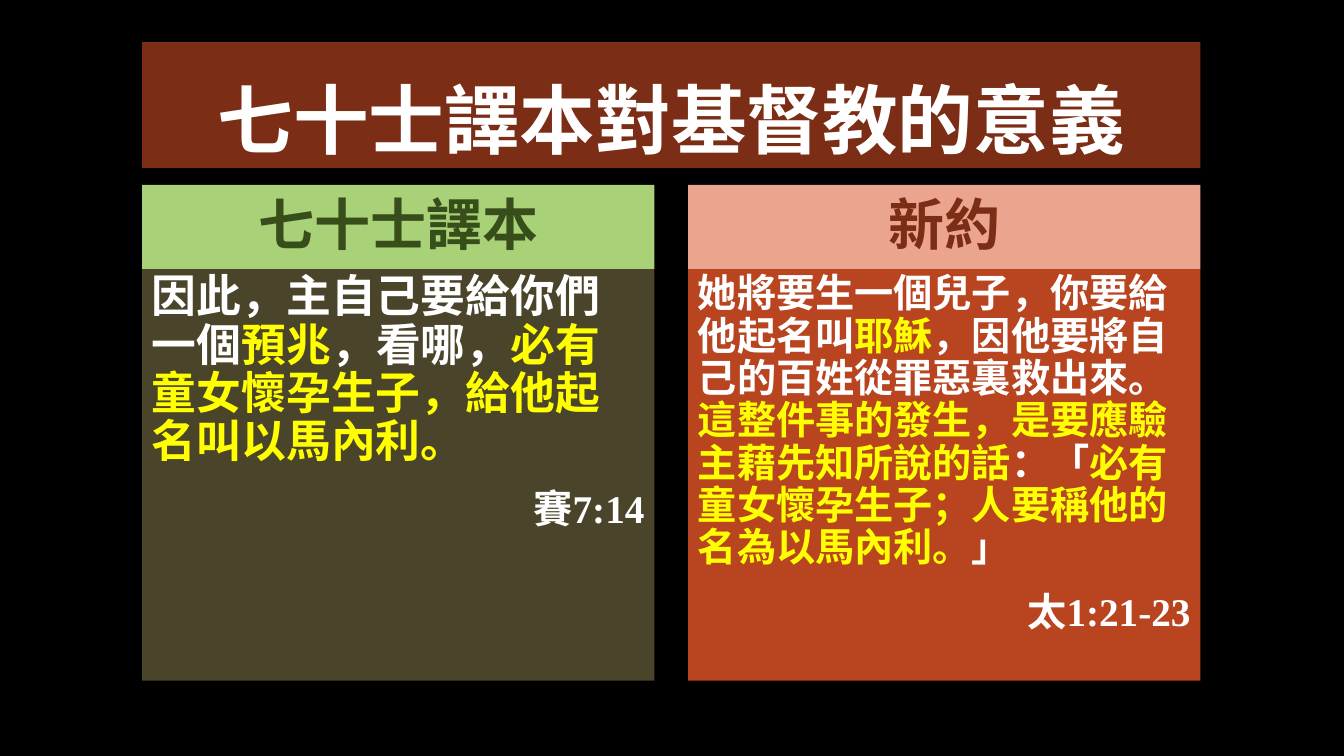
from dataclasses import dataclass

from lxml.etree import SubElement
from pptx import Presentation
from pptx.dml.color import RGBColor
from pptx.enum.shapes import MSO_SHAPE
from pptx.enum.text import MSO_ANCHOR, PP_ALIGN
from pptx.oxml.ns import qn
from pptx.shapes.autoshape import Shape
from pptx.slide import Slide
from pptx.text.text import TextFrame
from pptx.util import Cm, Pt

COLORS = {
    "black": "000000", "white": "FFFFFF", "yellow": "FFFF00",
    "brick": "7B2D15", "lime": "A9D278", "forest": "374E1B",
    "olive": "4A452A", "salmon": "EBA48E", "rust": "B84420",
}
LEFT, WIDTH, GAP = 3.58, 26.67, 0.85
COLUMN_WIDTH = (WIDTH - GAP) / 2
HEAD_TOP, HEAD_HEIGHT, BODY_HEIGHT = 4.66, 2.12, 10.37


@dataclass
class Column:
    heading: str
    head_fill: str
    head_color: str
    body_fill: str
    size: int
    verse: list[tuple[str, str]]
    reference: str


COLUMNS = [
    Column("七十士譯本", "lime", "forest", "olive", 32, [
        ("因此，主自己要給你們一個", "white"),
        ("預兆", "yellow"),
        ("，看哪，", "white"),
        ("必有童女懷孕生子，給他起名叫以馬內利。", "yellow"),
    ], "賽7:14"),
    Column("新約", "salmon", "brick", "rust", 28, [
        ("她將要生一個兒子，你要給他起名叫", "white"),
        ("耶穌", "yellow"),
        ("，因他要將自己的百姓從罪惡裏救出來。", "white"),
        ("這整件事的發生，是要應驗主藉先知所說的話", "yellow"),
        ("：「", "white"),
        ("必有童女懷孕生子；人要稱他的名為以馬內利。", "yellow"),
        ("」", "white"),
    ], "太1:21-23"),
]


def rgb(name: str) -> RGBColor:
    return RGBColor.from_string(COLORS[name])


def add_panel(slide: Slide, x: float, y: float, w: float, h: float,
              fill: str, anchor: MSO_ANCHOR) -> Shape:
    sp = slide.shapes.add_shape(MSO_SHAPE.RECTANGLE, Cm(x), Cm(y), Cm(w), Cm(h))
    sp.shadow.inherit = False
    sp.fill.solid()
    sp.fill.fore_color.rgb = rgb(fill)
    sp.line.fill.background()
    sp.text_frame.word_wrap = True
    sp.text_frame.vertical_anchor = anchor
    return sp


def add_text(tf: TextFrame, runs: list[tuple[str, str]], *, size: int,
             font: str, east_asian: str, align: PP_ALIGN = PP_ALIGN.LEFT,
             spacing: float = 0.9, before: int = 0) -> None:
    p = tf.paragraphs[0] if not tf.text else tf.add_paragraph()
    p.alignment = align
    p.line_spacing = spacing
    p.space_before = Pt(before)
    for text, color in runs:
        r = p.add_run()
        r.text = text
        r.font.size = Pt(size)
        r.font.bold = True
        r.font.name = font
        r.font.color.rgb = rgb(color)
        SubElement(r.font._element, qn("a:ea"), typeface=east_asian)


def add_column(slide: Slide, x: float, column: Column) -> None:
    head = add_panel(slide, x, HEAD_TOP, COLUMN_WIDTH, HEAD_HEIGHT,
                     column.head_fill, MSO_ANCHOR.MIDDLE)
    add_text(head.text_frame, [(column.heading, column.head_color)], size=40,
             font="Noto Sans CJK TC", east_asian="Noto Sans CJK TC",
             align=PP_ALIGN.CENTER)
    body = add_panel(slide, x, HEAD_TOP + HEAD_HEIGHT, COLUMN_WIDTH, BODY_HEIGHT,
                     column.body_fill, MSO_ANCHOR.TOP)
    add_text(body.text_frame, column.verse, size=column.size,
             font="Times New Roman", east_asian="Roboto")
    add_text(body.text_frame, [(column.reference, "white")], size=28,
             font="Times New Roman", east_asian="Roboto",
             align=PP_ALIGN.RIGHT, before=16)


def main() -> None:
    prs = Presentation()
    prs.slide_width, prs.slide_height = Cm(33.87), Cm(19.05)
    slide = prs.slides.add_slide(prs.slide_layouts[6])
    slide.background.fill.solid()
    slide.background.fill.fore_color.rgb = rgb("black")

    title = add_panel(slide, LEFT, 1.06, WIDTH, 3.18, "brick", MSO_ANCHOR.BOTTOM)
    add_text(title.text_frame, [("七十士譯本對基督教的意義", "white")], size=54,
             font="Roboto", east_asian="Roboto", align=PP_ALIGN.CENTER, spacing=0.8)
    for i, column in enumerate(COLUMNS):
        add_column(slide, LEFT + i * (COLUMN_WIDTH + GAP), column)
    prs.save("out.pptx")


if __name__ == "__main__":
    main()
